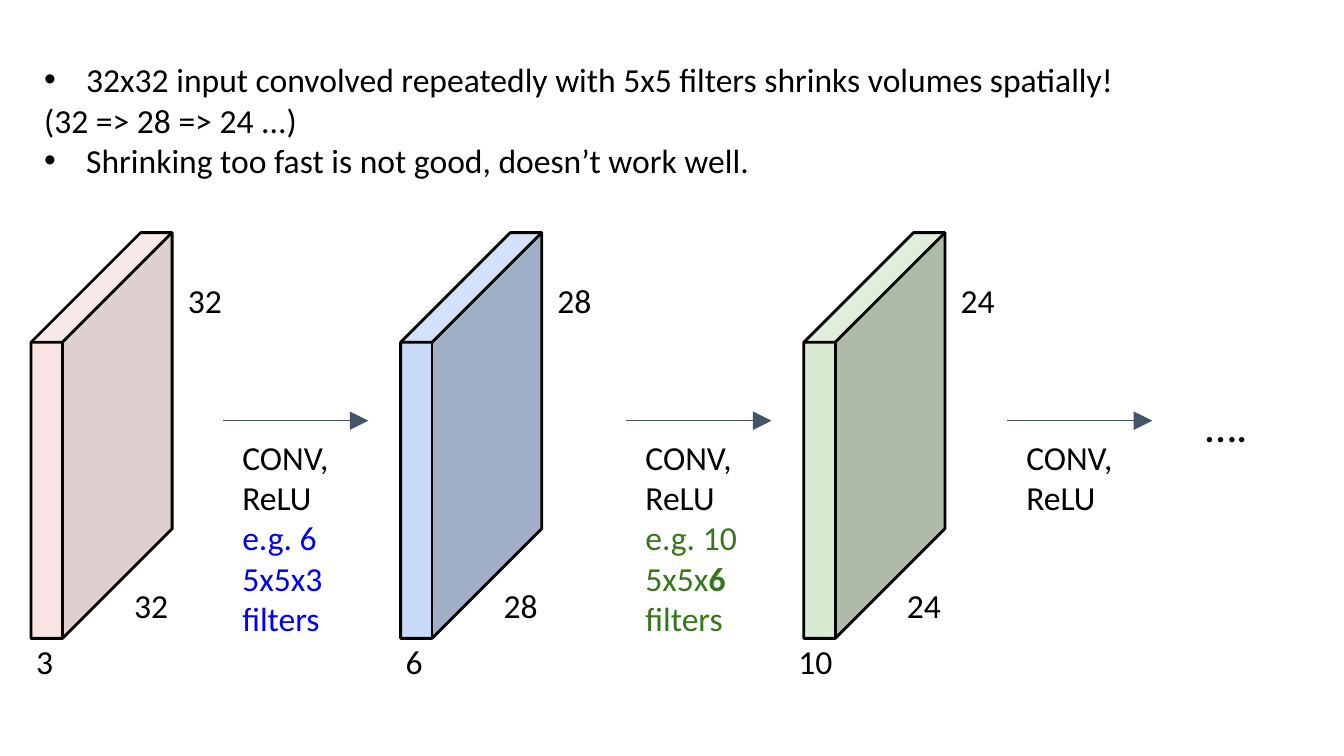
from lxml import etree
from pptx import Presentation
from pptx.dml.color import RGBColor
from pptx.enum.shapes import MSO_CONNECTOR, MSO_SHAPE
from pptx.oxml.ns import qn
from pptx.util import Pt

BLACK = RGBColor(0x00, 0x00, 0x00)
PINK = RGBColor(0xF4, 0xCC, 0xCC)
PALE_BLUE = RGBColor(0xC9, 0xDA, 0xF8)
PALE_GREEN = RGBColor(0xD9, 0xEA, 0xD3)
BLUE = RGBColor(0x00, 0x00, 0xFF)
GREEN = RGBColor(0x38, 0x76, 0x1D)
SLATE = RGBColor(0x44, 0x54, 0x6A)


class SlideBuilder:
    """Holds the text style and the current slide; lengths are in points."""

    font_name = "Calibri"
    font_size = 18
    inset = 7.2
    bullet_indent = 22.5

    def __init__(self, slide):
        self.slide = slide

    def text(self, left, top, width, height, paragraphs, size=font_size):
        """Each paragraph is a list of (text, format) runs."""
        box = self.slide.shapes.add_textbox(Pt(left), Pt(top), Pt(width), Pt(height))
        frame = box.text_frame
        frame.word_wrap = True
        for side in ("left", "top", "right", "bottom"):
            setattr(frame, f"margin_{side}", Pt(self.inset))
        for index, runs in enumerate(paragraphs):
            paragraph = frame.add_paragraph() if index else frame.paragraphs[0]
            for content, changes in runs:
                run = paragraph.add_run()
                run.text = content
                style = {"name": self.font_name, "size": Pt(size), "bold": False,
                         "color": BLACK, **changes}
                run.font.color.rgb = style.pop("color")
                for name, value in style.items():
                    setattr(run.font, name, value)
        return box

    def bullet(self, paragraph):
        properties = paragraph._p.get_or_add_pPr()
        indent = Pt(self.bullet_indent)
        properties.set("marL", str(indent))
        properties.set("indent", str(-indent))
        etree.SubElement(properties, qn("a:buFont"), typeface="Arial")
        etree.SubElement(properties, qn("a:buChar"), char="•")

    def cube(self, left, top, width, height, color, opacity=100):
        shape = self.slide.shapes.add_shape(
            MSO_SHAPE.CUBE, Pt(left), Pt(top), Pt(width), Pt(height))
        shape.adjustments[0] = 0.777
        shape.shadow.inherit = False
        shape.fill.solid()
        shape.fill.fore_color.rgb = color
        if opacity < 100:
            color_element = shape._element.spPr.find(qn("a:solidFill"))[0]
            etree.SubElement(color_element, qn("a:alpha"), val=str(opacity * 1000))
        shape.line.color.rgb = BLACK
        shape.line.width = Pt(1.5)

    def arrow(self, left, top, length):
        connector = self.slide.shapes.add_connector(
            MSO_CONNECTOR.STRAIGHT, Pt(left), Pt(top), Pt(left + length), Pt(top))
        connector.line.color.rgb = SLATE
        connector.line.width = Pt(0.75)
        line = connector.line._get_or_add_ln()
        etree.SubElement(line, qn("a:tailEnd"), type="triangle", w="lg", len="lg")
        etree.SubElement(connector._element.spPr, qn("a:effectLst"))


def plain(content):
    return [(content, {})]


def main():
    presentation = Presentation()
    presentation.slide_width, presentation.slide_height = Pt(720), Pt(405)
    builder = SlideBuilder(presentation.slides.add_slide(presentation.slide_layouts[6]))

    # Key points
    points = builder.text(16.6, 24.5, 673, 76.3, [
        plain("32x32 input convolved repeatedly with 5x5 filters shrinks volumes spatially!"),
        plain("(32 => 28 => 24 ...)"),
        plain("Shrinking too fast is not good, doesn’t work well."),
    ])
    for index in (0, 2):
        builder.bullet(points.text_frame.paragraphs[index])

    # Volumes with their side lengths and depth
    volumes = [
        (16.6, PINK, 52, "32", "3", -4.3),
        (214.6, PALE_BLUE, 100, "28", "6", -4.3),
        (430.6, PALE_GREEN, 100, "24", "10", -10),
    ]
    for left, color, opacity, side, depth, depth_offset in volumes:
        builder.cube(left, 124.6, 75.6, 217.4, color, opacity)
        for offset, top, height, label in (
                (48.2, 306, 24.5, side),
                (77, 142.6, 22.3, side),
                (depth_offset, 336.2, 14.4, depth)):
            builder.text(left + offset, top, 38.9, height, [plain(label)])

    # Convolution steps
    steps = [
        (119.5, 77.8, [("e.g. 6 5x5x3 filters", {"color": BLUE})]),
        (335.5, 83.5, [("e.g. 10 5x5x", {"color": GREEN}),
                       ("6 ", {"color": GREEN, "bold": True}),
                       ("filters", {"color": GREEN})]),
        (539.5, 77.8, None),
    ]
    for left, width, example in steps:
        builder.arrow(left, 225.4, 77.8)
        paragraphs = [plain("CONV,"), plain("ReLU")]
        if example:
            paragraphs.append(example)
        builder.text(left + 3.2, 226.8, width, 31, paragraphs)

    # Continuation
    builder.text(638.6, 205.9, 75.6, 28, [plain("….")], size=24)

    presentation.save("out.pptx")


if __name__ == "__main__":
    main()
